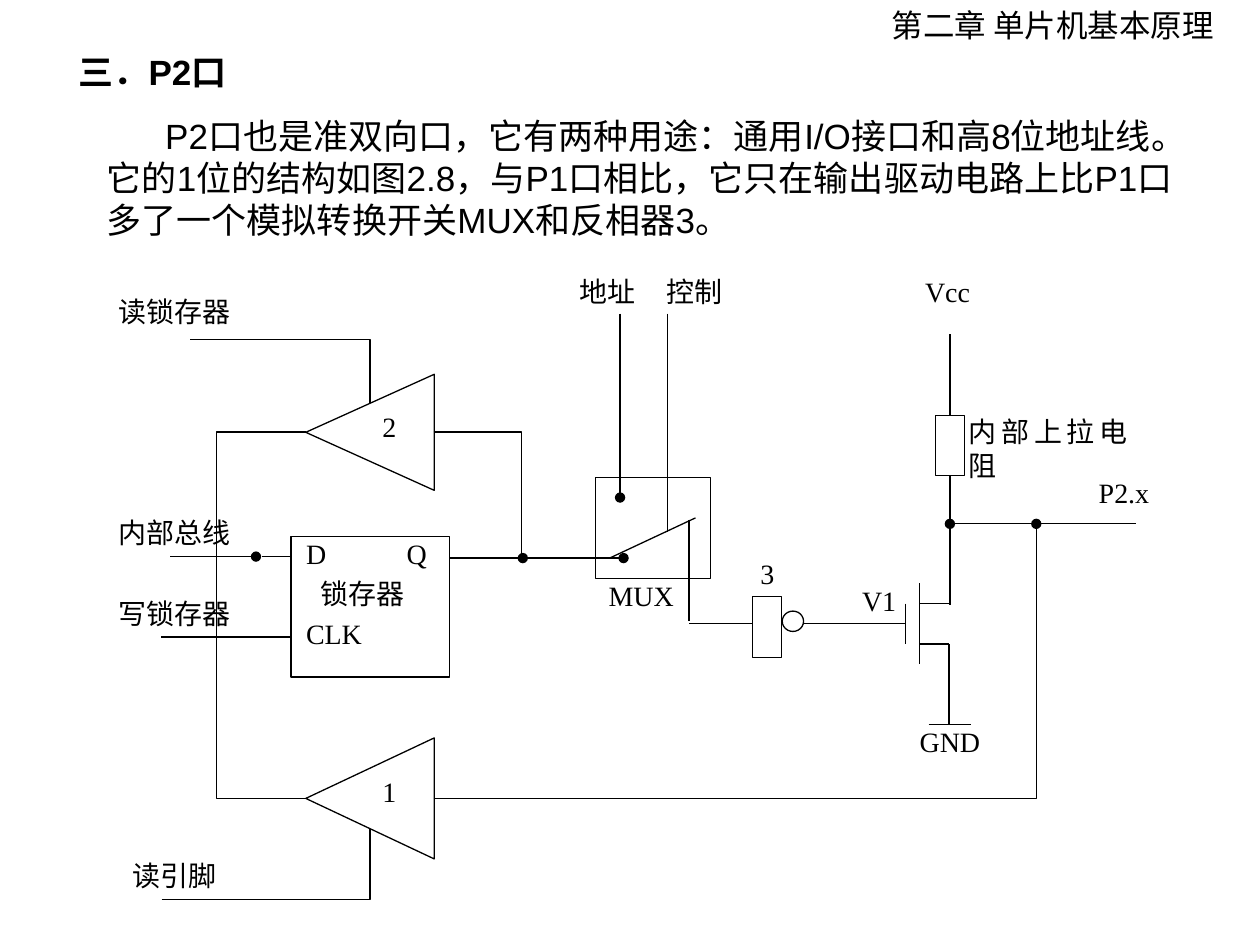
from dataclasses import dataclass

from lxml.etree import SubElement
from pptx import Presentation
from pptx.dml.color import RGBColor
from pptx.enum.shapes import MSO_CONNECTOR as Link, MSO_SHAPE as Shape
from pptx.enum.text import MSO_ANCHOR as Anchor, MSO_AUTO_SIZE as AutoSize, PP_ALIGN as Align
from pptx.oxml.ns import qn
from pptx.util import Cm, Pt


@dataclass(frozen=True)
class Theme:
    ink: RGBColor = RGBColor(0, 0, 0)
    paper: RGBColor = RGBColor(255, 255, 255)
    cjk: str = "Noto Sans CJK JP"
    sans: str = "Arial"
    serif: str = "Times New Roman"
    chapter_size: int = 18
    text_size: int = 20
    label_size: int = 16
    line_height: float = 1.2
    stroke: float = 0.75


THEME = Theme()
LABEL_HEIGHT = 0.81

# Circuit levels and columns shared by several parts, in cm
LATCH_LEFT, LATCH_RIGHT = 5.87, 9.07
BUFFER_TIP, BUFFER_BASE, BUFFER_GATE = 6.17, 8.74, 7.46
BUFFER2_Y, BUFFER1_Y = 8.71, 16.1
BUS_Y, Q_Y, OUTPUT_Y = 11.22, 11.25, 10.56
DRAIN_X, PIN_X = 19.15, 20.89

WIRES = [  # x1, y1, x2, y2, ends with a junction dot
    (LATCH_LEFT, BUS_Y, 5.28, BUS_Y, ""),
    (LATCH_LEFT, 12.84, 3.25, 12.84, ""),
    (5.16, BUS_Y, 3.43, BUS_Y, "head"),
    (10.52, Q_Y, LATCH_RIGHT, Q_Y, ""),
    (10.54, Q_Y, 12.57, Q_Y, "head tail"),
    # Switch: address, control, arm, output
    (12.5, 6.32, 12.5, 10.03, "tail"),
    (13.46, 6.32, 13.46, 10.72, ""),
    (14.02, 10.44, 12.29, Q_Y, ""),
    (13.89, 12.52, 13.89, 10.49, ""),
    (13.89, 12.57, 18.26, 12.57, ""),
    # Transistor: gate, channel, source, drain, ground
    (18.26, 12.17, 18.26, 12.98, ""),
    (18.54, 11.76, 18.54, 13.39, ""),
    (18.54, 12.98, 19.13, 12.98, ""),
    (19.13, 12.98, 19.13, 14.6, ""),
    (18.54, 12.17, 19.13, 12.17, ""),
    (DRAIN_X, 12.19, DRAIN_X, 9.6, ""),
    (18.72, 14.6, 19.58, 14.6, ""),
    # Pull-up supply and output pin
    (DRAIN_X, 8.36, DRAIN_X, 6.73, ""),
    (DRAIN_X, OUTPUT_Y, PIN_X, OUTPUT_Y, "head"),
    (PIN_X, OUTPUT_Y, 22.91, OUTPUT_Y, "head"),
]

CORNERS = [  # run across first, then up or down
    (3.84, 6.84, BUFFER_GATE, 8.13),
    (3.26, 18.13, BUFFER_GATE, 16.71),
    (BUFFER_BASE, BUFFER2_Y, 10.52, Q_Y),
    (BUFFER_BASE, BUFFER1_Y, PIN_X, OUTPUT_Y),
]

LABELS = [  # text, left, top, width
    ("D", 6.17, 10.82, 0.86),
    ("Q", 8.2, 10.82, 0.86),
    ("CLK", 6.17, 12.43, 1.45),
    ("锁存器", 6.46, 11.63, 2.31),
    ("读锁存器", 2.39, 5.94, 2.31),
    ("写锁存器", 2.39, 12.03, 2.31),
    ("内部总线", 2.39, 10.4, 2.31),
    ("读引脚", 2.67, 17.31, 2.31),
    ("地址", 11.68, 5.54, 1.45),
    ("控制", 13.43, 5.54, 2.31),
    ("Vcc", 18.65, 5.54, 2.31),
    ("GND", 18.54, 14.6, 2.31),
    ("P2.x", 22.15, 9.59, 1.17),
    ("V1", 17.38, 11.76, 0.86),
    ("MUX", 12.27, 11.66, 1.45),
    ("内部上拉电阻", 19.53, 8.36, 3.2),
    ("3", 15.33, 11.22, 0.58),
]


def write(paragraph, text, size, font, align=Align.LEFT, bold=False):
    paragraph.alignment = align
    paragraph.space_before = Pt(0)
    paragraph.line_spacing = Pt(size * THEME.line_height)
    run = paragraph.add_run()
    run.text = text
    run.font.size, run.font.name, run.font.bold = Pt(size), font, bold
    run.font.color.rgb = THEME.ink
    SubElement(run.font._element, qn("a:ea"), typeface=THEME.cjk)


def set_frame(frame, wrap, anchor, across=0.25, down=0.13):
    frame.word_wrap = wrap
    frame.auto_size = AutoSize.NONE
    frame.vertical_anchor = anchor
    frame.margin_left = frame.margin_right = Cm(across)
    frame.margin_top = frame.margin_bottom = Cm(down)


def place(placeholder, left, top, width, height):
    placeholder.left, placeholder.top = Cm(left), Cm(top)
    placeholder.width, placeholder.height = Cm(width), Cm(height)


def add_heading(slide):
    title = slide.shapes.title
    place(title, 1.33, 0.89, 3.84, 1.12)
    set_frame(title.text_frame, False, Anchor.MIDDLE)
    write(title.text_frame.paragraphs[0], "三．P2口", THEME.text_size, THEME.sans, bold=True)


def add_explanation(slide):
    body = slide.placeholders[1]
    place(body, 1.9, 2.19, 22.4, 2.79)
    set_frame(body.text_frame, True, Anchor.MIDDLE)
    paragraph = body.text_frame.paragraphs[0]
    properties = paragraph._p.get_or_add_pPr()
    properties.set("marL", "0")
    properties.set("indent", str(Cm(1.18)))
    properties.set("hangingPunct", "0")
    SubElement(properties, qn("a:buNone"))
    write(paragraph,
          "P2口也是准双向口，它有两种用途：通用I/O接口和高8位地址线。"
          "它的1位的结构如图2.8，与P1口相比，它只在输出驱动电路上"
          "比P1口多了一个模拟转换开关MUX和反相器3。",
          THEME.text_size, THEME.sans)


def add_chapter(slide):
    chapter = slide.shapes.add_textbox(Cm(17.73), Cm(0), Cm(7.14), Cm(1.02))
    set_frame(chapter.text_frame, False, Anchor.MIDDLE)
    write(chapter.text_frame.paragraphs[0], "第二章 单片机基本原理",
          THEME.chapter_size, THEME.cjk)


def outline(line):
    line.color.rgb = THEME.ink
    line.width = Pt(THEME.stroke)


def add_symbol(slide, kind, left, top, width, height):
    symbol = slide.shapes.add_shape(kind, Cm(left), Cm(top), Cm(width), Cm(height))
    symbol.shadow.inherit = False
    symbol.fill.solid()
    symbol.fill.fore_color.rgb = THEME.paper
    outline(symbol.line)
    return symbol


def add_buffer(slide, number, left, top, width):
    buffer = add_symbol(slide, Shape.ISOSCELES_TRIANGLE, left, top, width, 2.59)
    buffer.rotation = 270
    set_frame(buffer.text_frame, True, Anchor.TOP, across=0.13, down=0.25)
    buffer.text_frame._txBody.bodyPr.set("vert", "eaVert")
    write(buffer.text_frame.paragraphs[0], number, THEME.label_size, THEME.serif, Align.CENTER)


def add_wire(slide, x1, y1, x2, y2, dots="", kind=Link.STRAIGHT):
    wire = slide.shapes.add_connector(kind, Cm(x1), Cm(y1), Cm(x2), Cm(y2))
    outline(wire.line)
    for end in dots.split():
        SubElement(wire.line._get_or_add_ln(), qn(f"a:{end}End"), type="oval")
    SubElement(wire._element.spPr, qn("a:effectLst"))
    return wire


def add_corner(slide, x1, y1, x2, y2):
    corner = add_wire(slide, x1, y1, x2, y2, kind=Link.ELBOW)
    corner._element.spPr.find(qn("a:prstGeom")).set("prst", "bentConnector2")


def add_feedback(slide, bus_x):
    pen = slide.shapes.build_freeform(Cm(BUFFER_TIP), Cm(BUFFER2_Y))
    turns = [(bus_x, BUFFER2_Y), (bus_x, BUFFER1_Y), (BUFFER_TIP, BUFFER1_Y)]
    pen.add_line_segments([(Cm(x), Cm(y)) for x, y in turns], close=False)
    feedback = pen.convert_to_shape()
    feedback.shadow.inherit = False
    feedback.fill.background()
    outline(feedback.line)


def add_label(slide, text, left, top, width):
    label = slide.shapes.add_textbox(Cm(left), Cm(top), Cm(width), Cm(LABEL_HEIGHT))
    set_frame(label.text_frame, True, Anchor.TOP, 0, 0)
    write(label.text_frame.paragraphs[0], text, THEME.label_size, THEME.serif, Align.JUSTIFY)


def main():
    deck = Presentation()
    deck.slide_width, deck.slide_height = Cm(25.4), Cm(19.05)
    slide = deck.slides.add_slide(deck.slide_layouts[1])

    # Text above the diagram
    add_chapter(slide)
    add_heading(slide)
    add_explanation(slide)

    # Buffers, latch and switch
    add_buffer(slide, "2", 6.29, 7.42, 2.34)
    add_buffer(slide, "1", 6.24, 14.8, 2.44)
    add_symbol(slide, Shape.RECTANGLE, LATCH_LEFT, 10.81, 3.2, 2.84)
    add_symbol(slide, Shape.RECTANGLE, 12, 9.63, 2.32, 2.03)

    # Wiring
    for corner in CORNERS:
        add_corner(slide, *corner)
    add_feedback(slide, 4.37)
    for wire in WIRES:
        add_wire(slide, *wire)

    # Pull-up resistor and inverter sit over their wires
    add_symbol(slide, Shape.RECTANGLE, 18.86, 8.37, 0.58, 1.22)
    add_symbol(slide, Shape.RECTANGLE, 15.17, 12.03, 0.58, 1.22)
    add_symbol(slide, Shape.FLOWCHART_CONNECTOR, 15.77, 12.32, 0.43, 0.41)

    for label in LABELS:
        add_label(slide, *label)
    deck.save("out.pptx")


if __name__ == "__main__":
    main()
